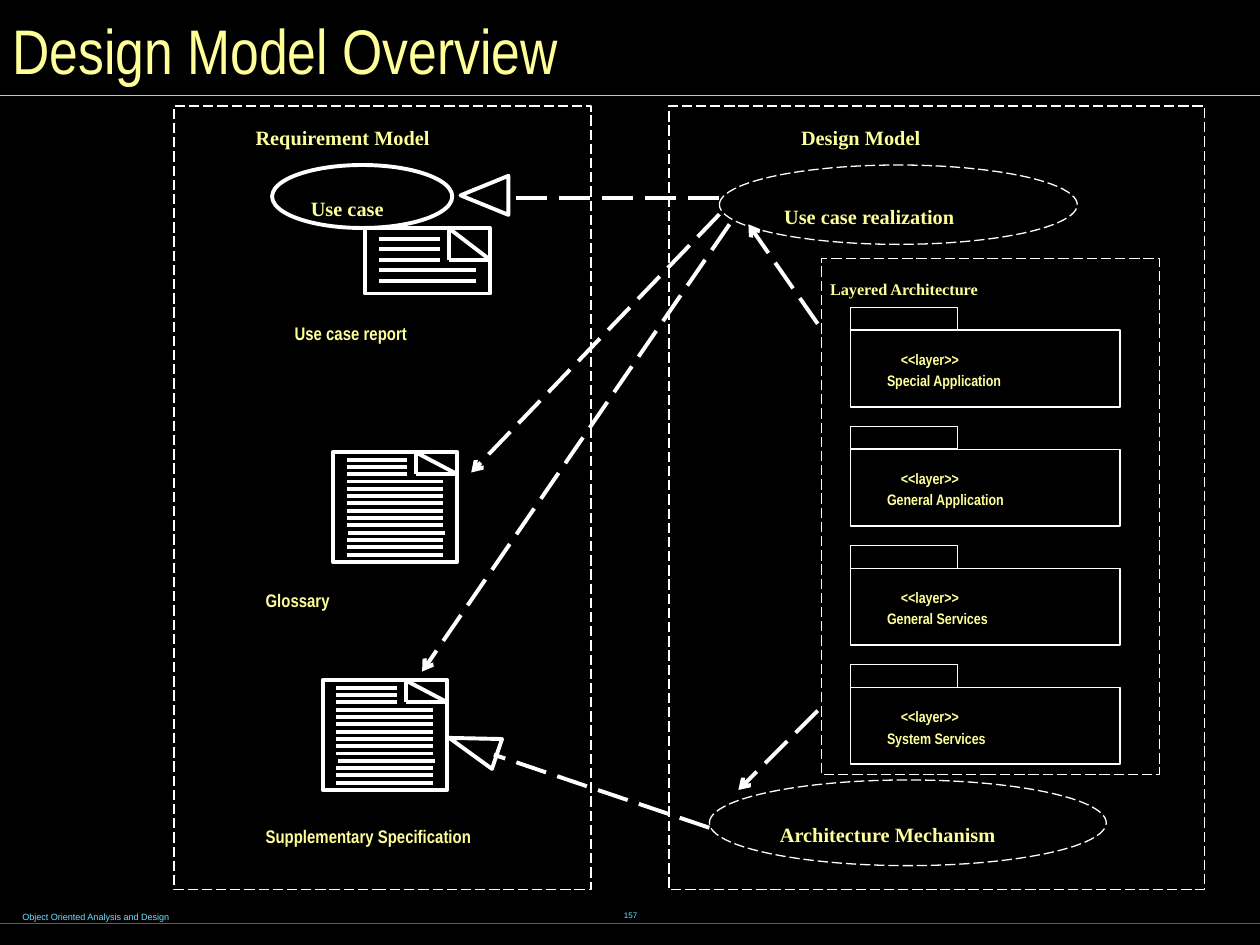
from dataclasses import dataclass
from typing import Any

from lxml import etree
from pptx import Presentation
from pptx import util as u
from pptx.dml.color import RGBColor
from pptx.enum import dml, shapes, text
from pptx.oxml.ns import qn


def color(value):
    """Turn a hex string into a colour."""
    return RGBColor.from_string(value)


def cells(*counts):
    """Turn counts of grid cells, 100 columns by 75 rows, into lengths."""
    return [u.Inches(count / 10) for count in counts]


@dataclass
class Board:
    """Hold the style and the current slide, and draw each kind of element."""

    slide: Any
    ink: str = "FFFFFF"
    label: str = "FFFF99"
    accent: str = "73E1FF"
    rule: str = "007E9F"
    sans: str = "Arial"
    narrow: str = "Arial Narrow"
    serif: str = "Times New Roman"
    thin: float = 0.75
    thick: float = 2.25

    def background(self, value):
        """Fill the slide background."""
        fill = self.slide.background.fill
        fill.solid()
        fill.fore_color.rgb = color(value)

    def stroke(self, line, value, width, dashed):
        """Style an outline or a line."""
        line.color.rgb = color(value)
        line.width = u.Pt(width)
        if dashed:
            line.dash_style = dml.MSO_LINE.LONG_DASH

    def letter(self, shape, words, size, font, value=None, bold=True, lowered=True,
               wrap=False, middle=False, align=text.PP_ALIGN.LEFT):
        """Set and format the one paragraph of a shape."""
        frame = shape.text_frame
        frame.text = words
        frame.word_wrap = wrap
        frame.vertical_anchor = text.MSO_ANCHOR.MIDDLE if middle else text.MSO_ANCHOR.TOP
        paragraph = frame.paragraphs[0]
        paragraph.alignment = align
        run = paragraph.runs[0]
        run.font.size = u.Pt(size)
        run.font.name = font
        run.font.bold = bold
        run.font.color.rgb = color(value or self.label)
        if lowered:
            run._r.get_or_add_rPr().set("baseline", "-25000")

    def textbox(self, box, words, size, font, inset=True, grow=True, **style):
        """Add a text box."""
        shape = self.slide.shapes.add_textbox(*cells(*box))
        self.letter(shape, words, size, font, **style)
        frame = shape.text_frame
        if grow:
            frame.auto_size = text.MSO_AUTO_SIZE.SHAPE_TO_FIT_TEXT
        if not inset:
            frame.margin_left = frame.margin_right = 0
            frame.margin_top = frame.margin_bottom = 0

    def outline(self, kind, box, width, dashed=False, rotation=0):
        """Add an unfilled preset shape."""
        shape = self.slide.shapes.add_shape(kind, *cells(*box))
        shape.shadow.inherit = False
        shape.fill.background()
        shape.rotation = rotation
        self.stroke(shape.line, self.ink, width, dashed)
        return shape

    def rectangle(self, box, width=0.75, dashed=False):
        """Add a rectangle outline."""
        return self.outline(shapes.MSO_SHAPE.RECTANGLE, box, width, dashed)

    def ellipse(self, box, words, width=0.75, dashed=True):
        """Add an ellipse with a serif label."""
        shape = self.outline(shapes.MSO_SHAPE.OVAL, box, width, dashed)
        self.letter(shape, words, 20, self.serif, middle=True)

    def triangle(self, box, rotation):
        """Add a hollow arrowhead."""
        self.outline(shapes.MSO_SHAPE.ISOSCELES_TRIANGLE, box, self.thick, rotation=rotation)

    def line(self, ends, value=None, width=2.25, dashed=False, arrow=False):
        """Add a straight line, with an open arrowhead if wanted."""
        connector = self.slide.shapes.add_connector(
            shapes.MSO_CONNECTOR.STRAIGHT, *cells(*ends))
        self.stroke(connector.line, value or self.ink, width, dashed)
        properties = connector._element.spPr
        if arrow:
            etree.SubElement(properties.find(qn("a:ln")), qn("a:tailEnd"), type="arrow")
        etree.SubElement(properties, qn("a:effectLst"))

    def document(self, left, top, height, pitch, rows, indented=None):
        """Add a page with a folded corner and three short lines above full ones."""
        fold, right, bend = left + 6.6, left + 9.9, top + 3 * pitch
        self.line((fold, top, fold, bend))
        self.rectangle((left, top, 9.9, height), self.thick)
        self.line((fold, top, right, bend))
        self.line((right, bend, fold, bend))
        for row in range(1, rows + 1):
            start = left + (1.25 if row == indented else 1.1)
            length = 4.8 if row <= 3 else 7.7
            self.line((start, top + row * pitch, start + length, top + row * pitch))

    def caption(self, box, words):
        """Add the name under a page."""
        self.textbox(box, words, 18, self.narrow, wrap=True)

    def heading(self, box, words, size=20):
        """Add a serif heading."""
        self.textbox(box, words, size, self.serif)

    def layer(self, top, name):
        """Add one package of the layered architecture."""
        self.rectangle((67.5, top + 1.8, 21.4, 6.1), 0)
        self.rectangle((67.5, top, 8.5, 1.8))
        self.textbox((70.4, top + 3.7, 16, 2.5), name, 15, self.narrow, inset=False)
        self.textbox((71.5, top + 2, 8, 2.5), "<<layer>>", 15, self.narrow, inset=False)


def main():
    """Build the slide and save it."""
    presentation = Presentation()
    presentation.slide_width, presentation.slide_height = cells(100, 75)
    board = Board(presentation.slides.add_slide(presentation.slide_layouts[6]))
    board.background("000000")

    board.textbox((0.8, 71, 51, 2.5), "Object Oriented Analysis and Design", 9,
                  board.sans, value=board.accent, bold=False, wrap=True)
    board.textbox((34.2, 69.8, 31.7, 5), "157", 8, board.sans, grow=False, bold=False,
                  value=board.accent, middle=True, align=text.PP_ALIGN.CENTER)
    board.line((0, 73.3, 100, 73.3), board.rule, board.thin)
    board.line((0, 7.6, 100, 7.6), board.accent, board.thin)
    board.textbox((0, 0, 99.3, 7.8), "Design Model Overview", 36, board.narrow,
                  grow=False, bold=False, lowered=False, wrap=True, middle=True)

    board.rectangle((13.8, 8.4, 33.1, 62.2), dashed=True)
    board.rectangle((53.1, 8.4, 42.5, 62.2), dashed=True)
    board.heading((19.3, 7.6, 25.8, 4.3), "Requirement Model")
    board.heading((62.6, 7.6, 18.3, 4.3), "Design Model")

    board.ellipse((57.1, 13.1, 28.4, 6.3), "Use case realization")
    board.ellipse((56.3, 61.9, 31.5, 6.8), "Architecture Mechanism")
    board.rectangle((65.2, 20.5, 26.8, 41), dashed=True)
    board.heading((64.9, 20.2, 22.6, 3.7), "Layered Architecture", 16)
    names = ("Special Application", "General Application", "General Services",
             "System Services")
    for index, name in enumerate(names):
        board.layer(24.4 + 9.45 * index, name)

    board.ellipse((21.6, 13.1, 14.3, 5), "Use case", board.thick, dashed=False)
    board.document(29, 18.1, 5.2, 0.84, 5)
    board.caption((22.4, 23.4, 22, 4), "Use case report")
    board.document(26.4, 35.9, 8.7, 0.58, 14, indented=11)
    board.caption((20.1, 44.6, 22, 4), "Glossary")
    board.document(25.6, 54, 8.7, 0.58, 14, indented=11)
    board.caption((20.1, 63.3, 22.1, 7), "Supplementary Specification")

    board.line((57.1, 15.7, 40.2, 15.7), dashed=True)
    board.triangle((36.9, 13.6, 3.1, 3.8), 270)
    board.line((56.3, 65.7, 39.2, 59.9), dashed=True)
    board.triangle((36.3, 57.2, 2.5, 4), 288.6)
    for ends in ((64.9, 25.7, 59.4, 17.8), (64.9, 56.4, 58.6, 62.7),
                 (57.1, 17, 37.4, 37.5), (57.9, 17.8, 33.5, 53.3)):
        board.line(ends, dashed=True, arrow=True)
    presentation.save("out.pptx")


if __name__ == "__main__":
    main()
